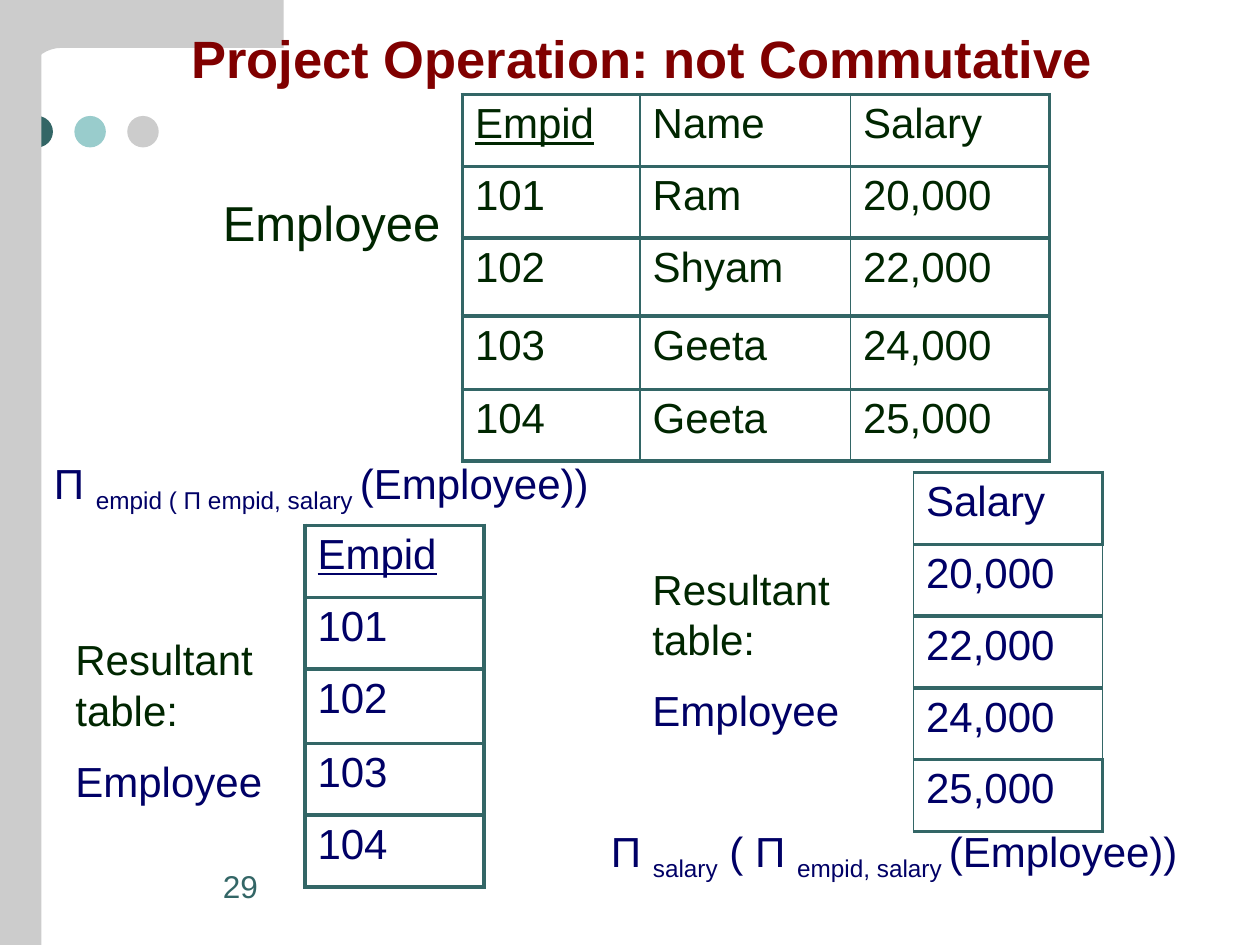
"""Build a slide showing that the relational project operation is not commutative."""
import math

import pptx
import pptx.dml.color
import pptx.enum.shapes
import pptx.enum.text
import pptx.oxml.ns
import pptx.util
from lxml import etree

COLORS = {"teal": "336666", "aqua": "99CCCC", "gray": "CCCCCC",
          "maroon": "800000", "green": "002600", "navy": "000066"}
WIDTH, HEIGHT = 10, 7.5
BAR_WIDTH = 0.33
DOT = {"left": 0.17, "top": 0.92, "size": 0.25, "pitch": 0.42, "colors": ["teal", "aqua", "gray"]}
CORNER = {"right": 2.25, "band": 0.38, "bottom": 0.58, "inner": 0.25, "radius": (0.24, 0.2)}
THICK, THIN = 2.25, 1
ROW = 0.57

RESULT = [[("Resultant table:", {})], [("Employee", {"color": "navy"})]]
TEXTS = [
    {"at": (1.67, 6.83, 1.42, 0.5), "content": [[("29", {})]], "size": 18, "color": "teal"},
    {"at": (1.42, 0.17, 7.92, 0.58), "content": [[("Project Operation: not Commutative", {"bold": True})]],
     "size": 30, "color": "maroon", "middle": True},
    {"at": (1.67, 1.48, 2.17, 0.57), "content": [[("Employee", {})]], "size": 28, "color": "green"},
    {"at": (0.5, 4.98, 1.92, 1.5), "content": RESULT, "size": 24, "color": "green"},
    {"at": (5.08, 4.42, 1.92, 1.5), "content": RESULT, "size": 24, "color": "green"},
    {"at": (4.75, 6.5, 5, 0.5), "size": 24, "color": "navy",
     "content": [[("Π ", {}), ("salary", {"sub": True}), (" ( Π ", {}),
                  ("empid, salary ", {"sub": True}), ("(Employee))", {})]]},
    {"at": (0.33, 3.58, 5, 0.5), "size": 24, "color": "navy",
     "content": [[("Π ", {}), ("empid ( Π empid, salary ", {"sub": True}), ("(Employee))", {})]]},
]

EMPLOYEES = [("Empid", "Name", "Salary"), ("101", "Ram", "20,000"), ("102", "Shyam", "22,000"),
             ("103", "Geeta", "24,000"), ("104", "Geeta", "25,000")]
TABLES = [
    {"at": (3.67, 0.75), "columns": [1.41, 1.67, 1.58], "heights": [ROW, ROW, 0.62, 0.58, ROW],
     "data": EMPLOYEES, "color": "green", "left": THICK, "right": [THICK] * 5},
    {"at": (2.42, 4.17), "columns": [1.42], "heights": [ROW, ROW, 0.59, ROW, ROW],
     "data": [row[:1] for row in EMPLOYEES], "color": "navy", "left": THICK, "right": [THICK] * 5},
    {"at": (7.25, 3.75), "columns": [1.5], "heights": [ROW] * 5,
     "data": [row[2:] for row in EMPLOYEES], "color": "navy", "left": THIN,
     "right": [THICK, THIN, THIN, THIN, THICK]},
]


def inches(*values):
    return [pptx.util.Inches(value) for value in values]


def rgb(name):
    return pptx.dml.color.RGBColor.from_string(COLORS[name])


def paint(shape, color):
    shape.shadow.inherit = False
    shape.fill.solid()
    shape.fill.fore_color.rgb = rgb(color)
    shape.line.fill.background()


def add_span(para, text, size=24, color="green", bold=False, underline=False, sub=False):
    span = para.add_run()
    span.text = text
    font = span.font
    font.name, font.size, font.bold, font.underline = "Arial", pptx.util.Pt(size), bold, underline
    font.color.rgb = rgb(color)
    if sub:
        font._element.set("baseline", "-25000")


def add_text(page, at, content, size, color, middle=False):
    frame = page.shapes.add_textbox(*inches(*at)).text_frame
    frame.word_wrap = True
    anchors = pptx.enum.text.MSO_ANCHOR
    frame.vertical_anchor = anchors.MIDDLE if middle else anchors.TOP
    for index, spans in enumerate(content):
        para = frame.add_paragraph() if index else frame.paragraphs[0]
        para.space_before = pptx.util.Pt(size / 2 if index else 0)
        for text, style in spans:
            add_span(para, text, **{"size": size, "color": color, **style})


def add_border(cell, side, width):
    name = pptx.oxml.ns.qn
    line = etree.SubElement(cell._tc.get_or_add_tcPr(), name("a:ln" + side), w=str(pptx.util.Pt(width)))
    fill = etree.SubElement(line, name("a:solidFill"))
    etree.SubElement(fill, name("a:srgbClr"), val=COLORS["teal"])


def add_grid(page, at, columns, heights, data, color, left, right):
    size = (sum(columns), sum(heights))
    table = page.shapes.add_table(len(heights), len(columns), *inches(*at, *size)).table
    table.first_row = table.horz_banding = False
    for column, width in zip(table.columns, columns):
        column.width = pptx.util.Inches(width)
    for row, (values, height) in enumerate(zip(data, heights)):
        table.rows[row].height = pptx.util.Inches(height)
        for column, value in enumerate(values):
            cell = table.cell(row, column)
            last = column == len(columns) - 1
            borders = {"L": THIN if column else left, "R": right[row] if last else THIN,
                       "T": THICK, "B": THICK}
            for side, width in borders.items():
                add_border(cell, side, width)
            cell.fill.background()
            add_span(cell.text_frame.paragraphs[0], value, color=color, underline=value == "Empid")


def add_decoration(page):
    kinds = pptx.enum.shapes.MSO_SHAPE
    for index, color in enumerate(DOT["colors"]):
        left = DOT["left"] + index * DOT["pitch"]
        dot = page.shapes.add_shape(kinds.OVAL, *inches(left, DOT["top"], DOT["size"], DOT["size"]))
        paint(dot, color)
    paint(page.shapes.add_shape(kinds.RECTANGLE, *inches(0, 0, BAR_WIDTH, HEIGHT)), "gray")

    across, down = CORNER["radius"]
    angles = [math.radians(degrees) for degrees in range(0, 91, 10)]
    curve = [(CORNER["inner"] + across * (1 - math.sin(angle)),
              CORNER["bottom"] - down * math.cos(angle)) for angle in angles]
    points = [(CORNER["right"], 0), (CORNER["right"], CORNER["band"]), *curve, (0, CORNER["bottom"])]
    outline = page.shapes.build_freeform(0, 0, scale=pptx.util.Inches(1))
    outline = page.shapes.build_freeform(*inches(0, 0))
    outline.add_line_segments([inches(*point) for point in points], close=True)
    paint(outline.convert_to_shape(), "gray")


def main():
    deck = pptx.Presentation()
    deck.slide_width, deck.slide_height = inches(WIDTH, HEIGHT)
    page = deck.slides.add_slide(deck.slide_layouts[6])
    add_decoration(page)
    for text in TEXTS:
        add_text(page, **text)
    for table in TABLES:
        add_grid(page, **table)
    deck.save("out.pptx")


if __name__ == "__main__":
    main()
